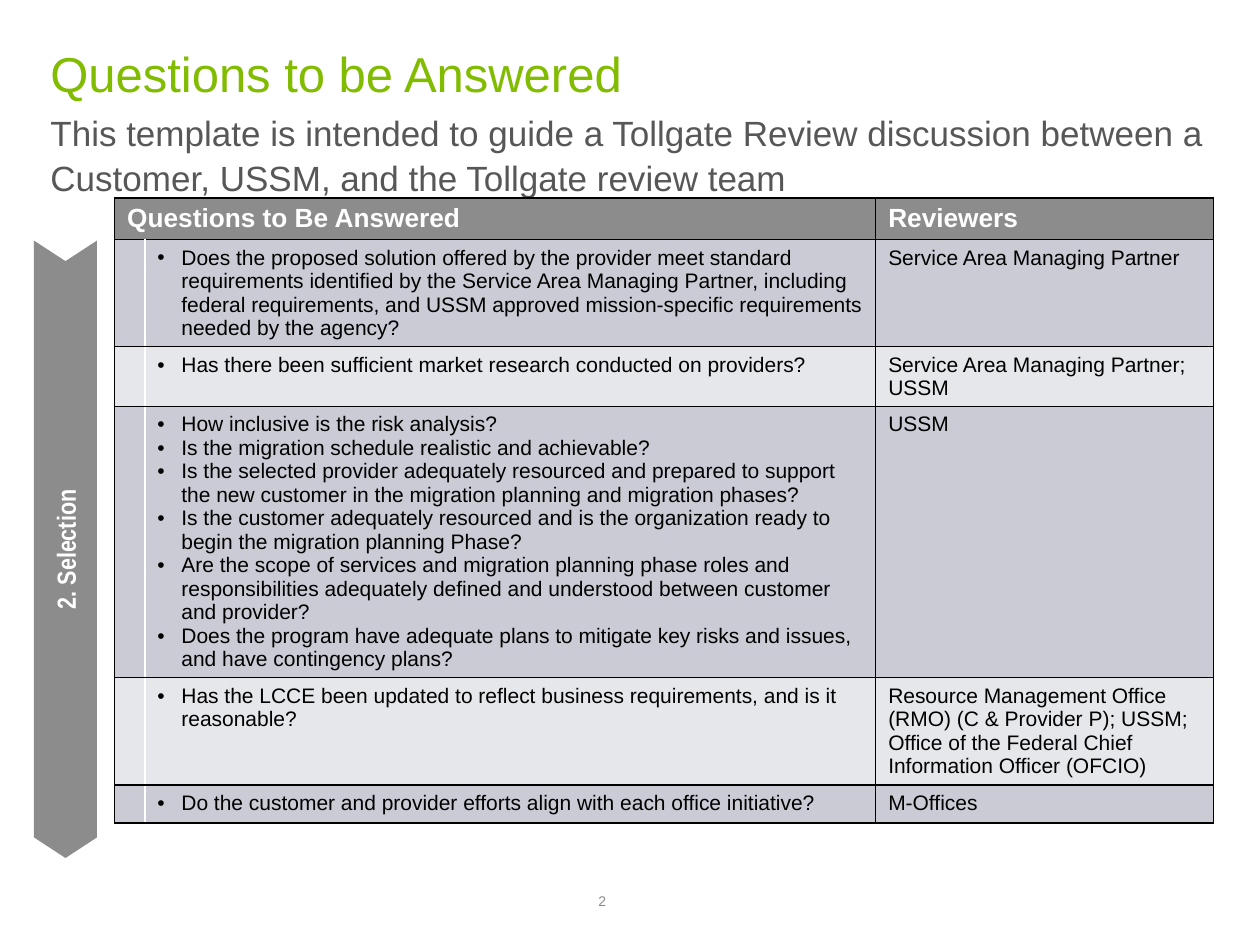
"""Build the tollgate review questions slide."""
from pptx import Presentation
from pptx.dml.color import RGBColor
from pptx.enum.shapes import MSO_SHAPE
from pptx.enum.text import MSO_ANCHOR, PP_ALIGN
from pptx.oxml.ns import qn
from pptx.util import Inches, Pt
from lxml import etree

CHEVRON = MSO_SHAPE.CHEVRON
TOP, MIDDLE, BOTTOM = MSO_ANCHOR.TOP, MSO_ANCHOR.MIDDLE, MSO_ANCHOR.BOTTOM
LEFT, CENTER = PP_ALIGN.LEFT, PP_ALIGN.CENTER
BLACK, WHITE, GRAY = "000000", "FFFFFF", "8C8C8C"
BANDS = ["CACBD5", "E6E7EB"]

TITLE = "Questions to be Answered"
SUBTITLE = ("This template is intended to guide a Tollgate Review discussion "
            "between a Customer, USSM, and the Tollgate review team")
PHASE = "2. Selection"
PAGE = "2"
HEADERS = ["Questions to Be Answered", "Reviewers"]
REVIEWS = [
    (["Does the proposed solution offered by the provider meet standard "
      "requirements identified by the Service Area Managing Partner, including "
      "federal requirements, and USSM approved mission-specific requirements "
      "needed by the agency?"],
     "Service Area Managing Partner"),
    (["Has there been sufficient market research conducted on providers?"],
     "Service Area Managing Partner; USSM"),
    (["How inclusive is the risk analysis?",
      "Is the migration schedule realistic and achievable?",
      "Is the selected provider adequately resourced and prepared to support "
      "the new customer in the migration planning and migration phases?",
      "Is the customer adequately resourced and is the organization ready to "
      "begin the migration planning Phase?",
      "Are the scope of services and migration planning phase roles and "
      "responsibilities adequately defined and understood between customer "
      "and provider?",
      "Does the program have adequate plans to mitigate key risks and issues, "
      "and have contingency plans?"],
     "USSM"),
    (["Has the LCCE been updated to reflect business requirements, and is it "
      "reasonable?"],
     "Resource Management Office (RMO) (C & Provider P); USSM; "
     "Office of the Federal Chief Information Officer (OFCIO)"),
    (["Do the customer and provider efforts align with each office initiative?"],
     "M-Offices"),
]
COLUMNS = [0.24, 5.8, 2.68]
ROWS = [0.33, 0.85, 0.47, 2.15, 0.85, 0.29]


def rgb(value):
    return RGBColor.from_string(value)


def write(tf, lines, size, color, bold=False, font="Arial", align=LEFT):
    tf.text = "\n".join(lines)
    tf.word_wrap = True
    for p in tf.paragraphs:
        p.alignment = align
        p.space_before = Pt(0)
        for r in p.runs:
            r.font.size, r.font.bold, r.font.name = Pt(size), bold, font
            r.font.color.rgb = rgb(color)


def frame(s, anchor, *box):
    s.left, s.top, s.width, s.height = map(Inches, box)
    tf = s.text_frame
    tf.margin_left = tf.margin_right = tf.margin_top = tf.margin_bottom = 0
    tf.vertical_anchor = anchor
    return tf


def set_bullet(p, char=None, indent=0.0):
    pPr = p._p.get_or_add_pPr()
    pPr.set("marL", str(Inches(indent)))
    pPr.set("indent", str(Inches(-indent)))
    if char:
        etree.SubElement(pPr, qn("a:buFont"), typeface="Arial")
        etree.SubElement(pPr, qn("a:buChar"), char=char)
    else:
        etree.SubElement(pPr, qn("a:buNone"))


def style_cell(cell, fill, left=BLACK, right=BLACK):
    tcPr = cell._tc.get_or_add_tcPr()
    for side, color in zip("LRTB", (left, right, BLACK, BLACK)):
        ln = etree.SubElement(tcPr, qn(f"a:ln{side}"), w=str(Pt(1)))
        solid = etree.SubElement(ln, qn("a:solidFill"))
        etree.SubElement(solid, qn("a:srgbClr"), val=color)
    cell.fill.solid()
    cell.fill.fore_color.rgb = rgb(fill)
    if not cell.text_frame.text:
        etree.SubElement(cell.text_frame.paragraphs[0]._p,
                         qn("a:endParaRPr"), sz="1200")


def add_questions(slide):
    table = slide.shapes.add_table(
        len(ROWS), len(COLUMNS), Inches(0.91), Inches(1.57),
        Inches(sum(COLUMNS)), Inches(sum(ROWS))).table
    for column, width in zip(table.columns, COLUMNS):
        column.width = Inches(width)
    for row, height in zip(table.rows, ROWS):
        row.height = Inches(height)
    table.cell(0, 0).merge(table.cell(0, 1))
    for col, text in zip((0, 2), HEADERS):
        write(table.cell(0, col).text_frame, [text], 15, WHITE, True)
    for col in range(len(COLUMNS)):
        style_cell(table.cell(0, col), GRAY)
    for i, (questions, reviewer) in enumerate(REVIEWS):
        gutter, question, review = table.rows[i + 1].cells
        write(question.text_frame, questions, 12, BLACK)
        write(review.text_frame, [reviewer], 12, BLACK)
        for p in question.text_frame.paragraphs:
            set_bullet(p, "•", 0.19)
        fill = BANDS[i % 2]
        style_cell(gutter, fill, right=WHITE)
        style_cell(question, fill, left=WHITE)
        style_cell(review, fill)


def add_phase(slide):
    s = slide.shapes.add_shape(CHEVRON, 0, 0, 1, 1)
    tf = frame(s, MIDDLE, -1.93, 4.11, 4.9, 0.5)
    s.adjustments[0] = 0.326
    s.rotation = 270
    s._element.spPr.find(qn("a:xfrm")).set("flipH", "1")
    s.shadow.inherit = False
    s.fill.solid()
    s.fill.fore_color.rgb = rgb(GRAY)
    s.line.fill.background()
    write(tf, [PHASE], 15, WHITE, True, "Arial Narrow", CENTER)


def main():
    prs = Presentation()
    prs.slide_width, prs.slide_height = Inches(10), Inches(7.5)
    slide = prs.slides.add_slide(prs.slide_layouts[1])
    title, body = slide.placeholders
    write(frame(title, MIDDLE, 0.4, 0.32, 9.2, 0.51), [TITLE], 28, "81BC00")
    tf = frame(body, TOP, 0.4, 0.86, 9.2, 0.83)
    write(tf, [SUBTITLE], 20, "575757")
    tf.paragraphs[0].line_spacing = 1.07
    set_bullet(tf.paragraphs[0])
    add_phase(slide)
    add_questions(slide)
    number = slide.shapes.add_textbox(0, 0, 1, 1)
    write(frame(number, BOTTOM, 4.75, 7.09, 0.5, 0.13), [PAGE], 8, GRAY)
    prs.save("out.pptx")


if __name__ == "__main__":
    main()
